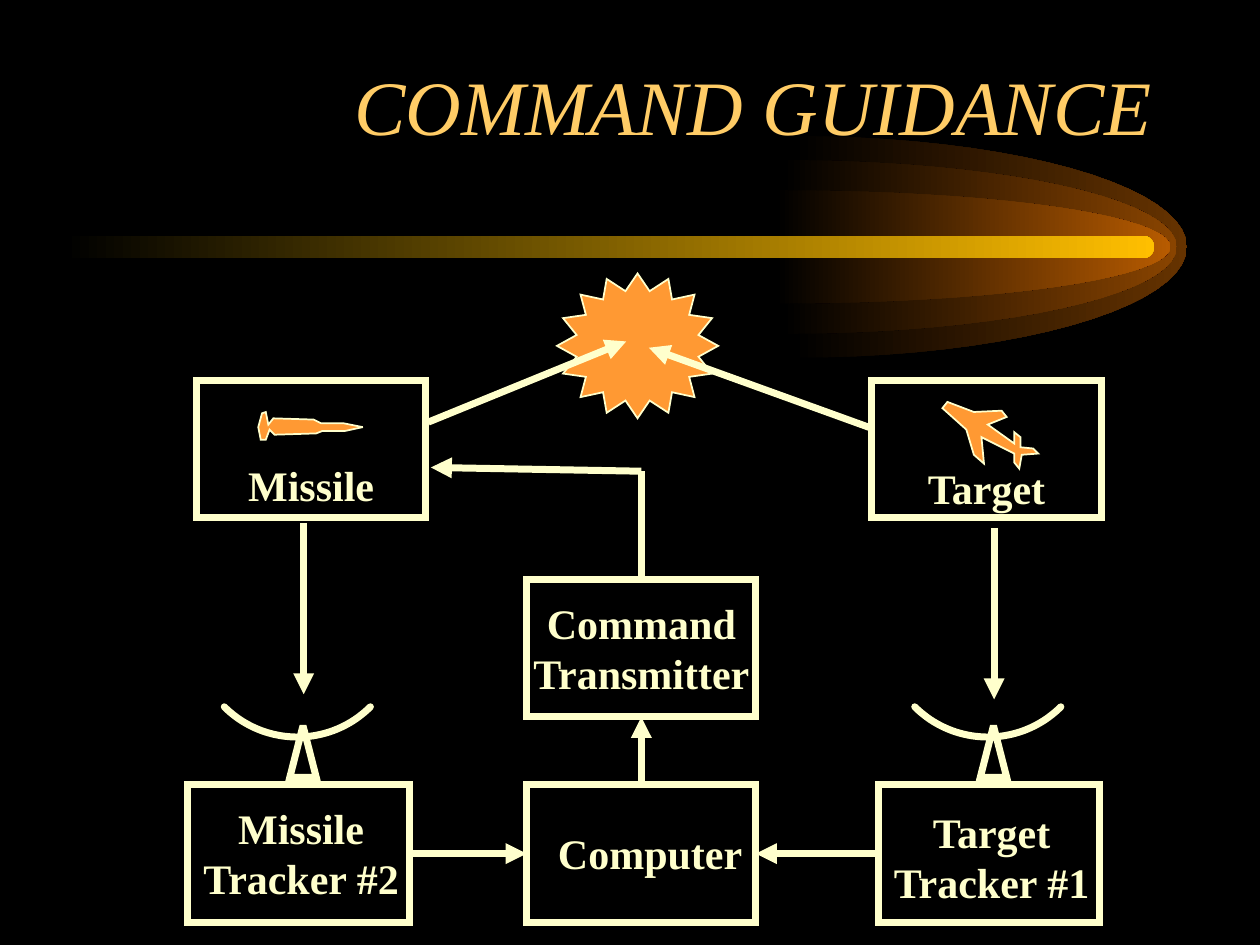
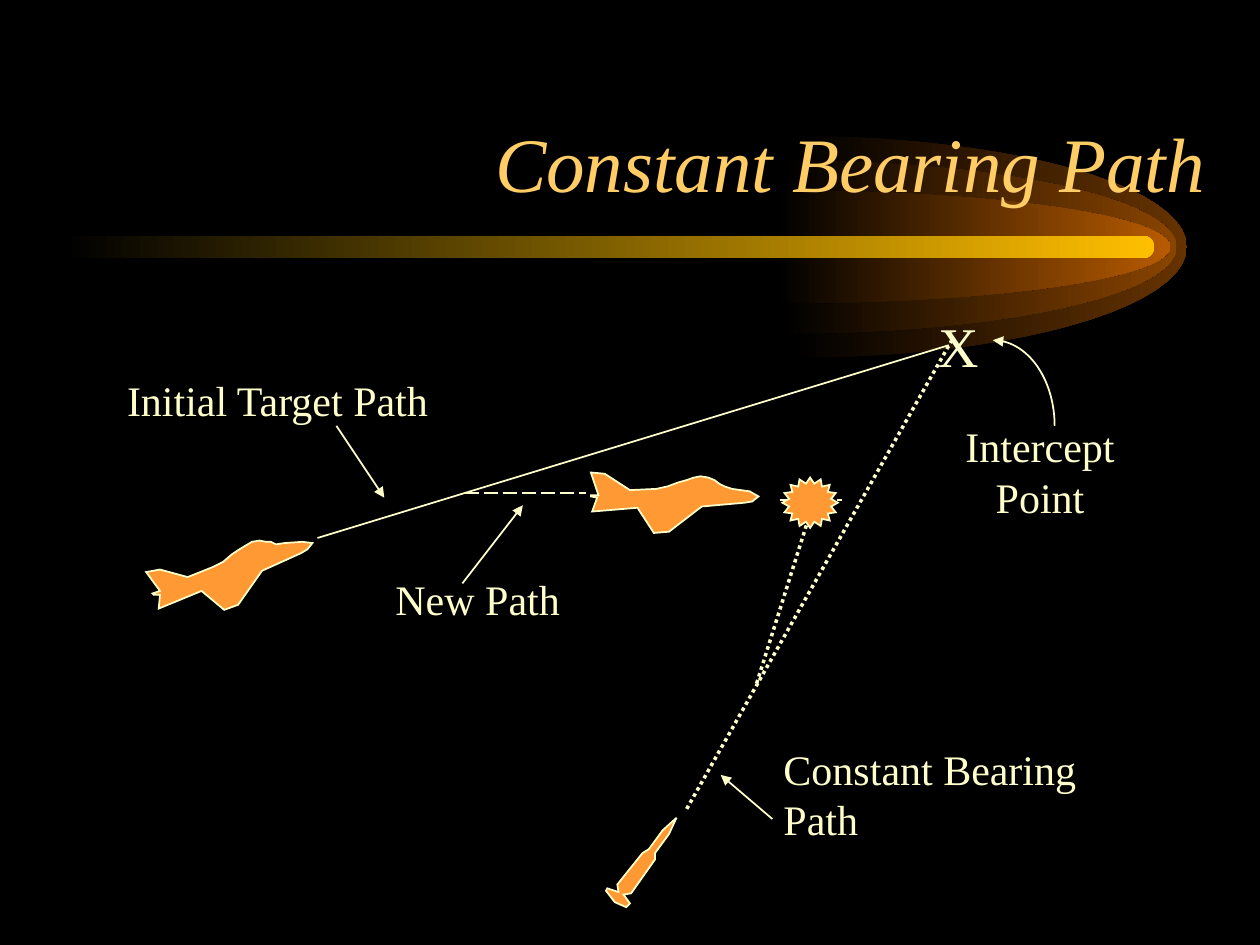
import math
from dataclasses import dataclass

from lxml import etree
from pptx import Presentation
from pptx import util as u
from pptx.dml.color import RGBColor
from pptx.enum import dml, shapes, text
from pptx.oxml import ns


@dataclass(frozen=True)
class Theme:
    font: str = "Times New Roman"
    ground: str = "000000"
    cream: str = "FFFFCC"
    orange: str = "FF9933"
    title: str = "FFCC66"
    bar: str = "FFBF00"
    title_size: int = 44
    mark_size: int = 32
    label_size: int = 24
    bold_line: int = 4
    dotted_line: int = 2
    thin_line: int = 1


THEME = Theme()
ANCHOR = text.MSO_ANCHOR
ALIGN = text.PP_ALIGN
FIT = text.MSO_AUTO_SIZE
SHAPE = shapes.MSO_SHAPE
DASH = dml.MSO_LINE
TOP, LEFT, BOTTOM, RIGHT = range(4)

# Layers of the comet: right-hand centre x, vertical radius, colour
COMET_CENTRE_Y = 1.96
COMET_LAYERS = [(6.29, 0.88, "663300"), (6.21, 0.69, "894400"), (6.16, 0.45, "B75B00")]

JET_FROM_ABOVE = [
    (7.48, 3.24), (7.52, 3.19), (7.73, 3.27), (7.95, 3.26), (7.99, 3.31), (7.84, 3.37),
    (8.05, 3.52), (8.05, 3.43), (8.1, 3.47), (8.1, 3.55), (8.2, 3.56), (8.24, 3.6),
    (8.11, 3.61), (8.09, 3.72), (8.05, 3.67), (8.05, 3.6), (7.79, 3.47), (7.81, 3.68),
    (7.73, 3.61), (7.67, 3.41)]
LEVEL_MISSILE = [
    (2.05, 3.39), (2.08, 3.28), (2.11, 3.27), (2.13, 3.37), (2.17, 3.32), (2.49, 3.33),
    (2.55, 3.36), (2.73, 3.36), (2.88, 3.39), (2.74, 3.42), (2.56, 3.42), (2.51, 3.44),
    (2.18, 3.45), (2.14, 3.41), (2.11, 3.49), (2.07, 3.49)]
CLIMBING_MISSILE = [
    (4.88, 7.16), (4.81, 7.07), (4.82, 7.05), (4.91, 7.08), (4.9, 7.02), (5.1, 6.77),
    (5.15, 6.74), (5.26, 6.59), (5.37, 6.49), (5.31, 6.62), (5.2, 6.77), (5.2, 6.82),
    (5.01, 7.09), (4.95, 7.1), (5, 7.17), (4.97, 7.2)]
LEVEL_JET = [
    (4.7, 4.06), (5.06, 4.03), (5.19, 4.23), (5.31, 4.22), (5.57, 4.02), (5.91, 3.99),
    (5.97, 3.98), (6.02, 3.94), (5.95, 3.9), (5.81, 3.88), (5.75, 3.86), (5.71, 3.84),
    (5.67, 3.81), (5.62, 3.79), (5.56, 3.78), (5.51, 3.79), (5.45, 3.81), (5.38, 3.83),
    (5.3, 3.86), (5.21, 3.88), (5, 3.89), (4.8, 3.76), (4.69, 3.75), (4.75, 3.93),
    (4.69, 3.93), (4.69, 3.94), (4.74, 3.95)]
CLIMBING_JET = [
    (1.26, 4.83), (1.6, 4.69), (1.78, 4.84), (1.89, 4.8), (2.08, 4.53), (2.39, 4.39),
    (2.44, 4.36), (2.48, 4.31), (2.4, 4.3), (2.26, 4.31), (2.19, 4.32), (2.15, 4.3),
    (2.11, 4.3), (2.06, 4.29), (2, 4.3), (1.95, 4.33), (1.9, 4.36), (1.84, 4.4),
    (1.77, 4.46), (1.69, 4.5), (1.49, 4.58), (1.27, 4.52), (1.16, 4.54), (1.27, 4.69),
    (1.21, 4.71), (1.22, 4.72), (1.27, 4.72)]


def grid(*units):
    """Turn grid units (a tenth of the slide width, 2.54 cm) into lengths."""
    return [u.Cm(unit * 2.54) for unit in units]


def color(value):
    return RGBColor.from_string(value)


def add_mark(parent, name, **attributes):
    return etree.SubElement(parent, ns.qn("a:" + name), attributes)


def stroke(shape, weight, dash=None, arrow=False, round_cap=False):
    shape.line.color.rgb = color(THEME.cream)
    shape.line.width = u.Pt(weight)
    if dash:
        shape.line.dash_style = dash
    outline = shape.get_or_add_ln()
    if round_cap:
        outline.set("cap", "rnd")
    add_mark(outline, "miter", lim="800000")
    if arrow:
        add_mark(outline, "tailEnd", type="triangle")


def fade(shape, end_color):
    """Fill from the ground colour at the left to end_color at the right."""
    shape.shadow.inherit = False
    shape.line.fill.background()
    shape.fill.gradient()
    shape.fill.gradient_angle = 0
    for stop, position, value in zip(shape.fill.gradient_stops, (0, 1),
                                     (THEME.ground, end_color)):
        stop.position = position
        stop.color.rgb = color(value)


def outline_shape(page, points, close=True):
    points = [grid(*point) for point in points]
    builder = page.shapes.build_freeform(*points[0])
    builder.add_line_segments(points[1:], close=close)
    shape = builder.convert_to_shape()
    shape.shadow.inherit = False
    return shape


def arc_points(centre, radii, start, stop, steps=40):
    """Points of an elliptical arc; degrees run clockwise from the right."""
    angles = [math.radians(start + (stop - start) * i / steps) for i in range(steps + 1)]
    return [(centre[0] + radii[0] * math.cos(a), centre[1] + radii[1] * math.sin(a))
            for a in angles]


def add_curve(page, points, weight, **style):
    curve = outline_shape(page, points, close=False)
    curve.fill.background()
    stroke(curve, weight, **style)


def add_silhouette(page, points):
    shape = outline_shape(page, points)
    shape.fill.solid()
    shape.fill.fore_color.rgb = color(THEME.orange)
    stroke(shape, THEME.thin_line)


def add_burst(page, *place):
    burst = page.shapes.add_shape(SHAPE.STAR_16_POINT, *grid(*place))
    burst.adjustments[0] = 0.385
    burst.shadow.inherit = False
    burst.fill.solid()
    burst.fill.fore_color.rgb = color(THEME.orange)
    stroke(burst, THEME.thin_line)


def add_frame(page, *place, kind=SHAPE.RECTANGLE):
    frame = page.shapes.add_shape(kind, *grid(*place))
    frame.shadow.inherit = False
    frame.fill.background()
    stroke(frame, THEME.bold_line)
    return frame


def add_tracker(page, left):
    """Draw a tracker station with its dish and return its frame."""
    frame = add_frame(page, left, 6.23, 1.76, 1.09)
    dish = arc_points((left + 0.87, 5.03), (0.82, 0.82), 45, 135)
    add_curve(page, dish, THEME.bold_line, round_cap=True)
    add_frame(page, left + 0.81, 5.76, 0.21, 0.41, kind=SHAPE.ISOSCELES_TRIANGLE)
    return frame


def add_line(page, start, end, weight, **style):
    line = page.shapes.add_connector(shapes.MSO_CONNECTOR.STRAIGHT,
                                     *grid(*start), *grid(*end))
    stroke(line, weight, **style)
    add_mark(line.element.spPr, "effectLst")
    return line


def join(page, source, source_side, target, target_side):
    line = add_line(page, (0, 0), (1, 1), THEME.bold_line, arrow=True)
    line.begin_connect(source, source_side)
    line.end_connect(target, target_side)


def write(frame, content, *, size, ink, align, bold=False, italic=False):
    for number, words in enumerate(content.split("\n")):
        para = frame.add_paragraph() if number else frame.paragraphs[0]
        para.alignment = align
        span = para.add_run()
        span.text = words
        span.font.name = THEME.font
        span.font.size = u.Pt(size)
        span.font.bold = bold
        span.font.italic = italic
        span.font.color.rgb = color(ink)


def add_label(page, content, *place, size=THEME.label_size, align=ALIGN.LEFT, bold=False):
    box = page.shapes.add_textbox(*grid(*place))
    box.text_frame.word_wrap = False
    box.text_frame.auto_size = FIT.SHAPE_TO_FIT_TEXT
    write(box.text_frame, content, size=size, ink=THEME.cream, align=align, bold=bold)


def add_page(deck, layout, title, place, anchor):
    page = deck.slides.add_slide(layout)
    holder = page.shapes.title
    holder.left, holder.top, holder.width, holder.height = grid(*place)
    frame = holder.text_frame
    frame.auto_size = FIT.NONE
    frame.vertical_anchor = anchor
    write(frame, title, size=THEME.title_size, ink=THEME.title, align=ALIGN.RIGHT,
          italic=True)
    return page


def dress_layout(layout, page):
    """Build the comet on the page, then move it to the layout for all slides."""
    comet = []
    for x, radius, tint in COMET_LAYERS:
        layer = outline_shape(page, arc_points((x, COMET_CENTRE_Y), (3.13, radius), -90, 90))
        fade(layer, tint)
        comet.append(layer)
    bar = page.shapes.add_shape(SHAPE.ROUNDED_RECTANGLE, *grid(0.5, 1.87, 8.66, 0.18))
    bar.adjustments[0] = 0.5
    fade(bar, THEME.bar)
    for number, shape in enumerate(comet + [bar], start=101):
        shape.element.nvSpPr.cNvPr.set("id", str(number))
        layout.shapes.element.append(shape.element)


def draw_command_guidance(page):
    missile_tracker = add_tracker(page, 1.49)
    target_tracker = add_tracker(page, 6.97)
    computer, transmitter = [add_frame(page, 4.18, top, 1.82, 1.09) for top in (6.23, 4.6)]
    for left in (6.92, 1.56):
        add_frame(page, left, 3.02, 1.82, 1.09)
    add_silhouette(page, JET_FROM_ABOVE)
    add_silhouette(page, LEVEL_MISSILE)
    add_burst(page, 4.42, 2.17, 1.28, 1.15)

    join(page, missile_tracker, RIGHT, computer, LEFT)
    join(page, target_tracker, LEFT, computer, RIGHT)
    join(page, computer, TOP, transmitter, BOTTOM)
    elbow = (5.09, 3.74)
    riser = add_line(page, (5.09, 4.6), elbow, THEME.bold_line)
    riser.begin_connect(transmitter, TOP)
    for start, end in [((7.89, 4.19), (7.89, 5.55)), ((2.41, 4.15), (2.41, 5.51)),
                       (elbow, (3.42, 3.71)), ((3.4, 3.35), (4.97, 2.71)),
                       ((6.92, 3.4), (5.15, 2.76))]:
        add_line(page, start, end, THEME.bold_line, arrow=True)

    for content, *place in [("Missile", 1.87, 3.6, 1.2, 0.5),
                            ("Target", 7.25, 3.62, 1.16, 0.5),
                            ("Command\nTransmitter", 4.12, 4.69, 1.94, 0.9),
                            ("Computer", 4.33, 6.52, 1.66, 0.5),
                            ("Missile\nTracker #2", 1.5, 6.32, 1.78, 0.9),
                            ("Target\nTracker #1", 6.98, 6.35, 1.78, 0.9)]:
        add_label(page, content, *place, align=ALIGN.CENTER, bold=True)


def draw_constant_bearing(page):
    add_silhouette(page, LEVEL_JET)
    add_silhouette(page, CLIMBING_JET)
    add_line(page, (2.52, 4.27), (7.53, 2.74), THEME.thin_line)
    for start, end, y in [(3.69, 4.65, 3.91), (6.19, 6.68, 3.97)]:
        add_line(page, (start, y), (end, y), THEME.thin_line, dash=DASH.LONG_DASH)
    add_silhouette(page, CLIMBING_MISSILE)
    for start, end in [((5.45, 6.42), (7.56, 2.69)), ((6.45, 4.01), (6, 5.44))]:
        add_line(page, start, end, THEME.dotted_line, dash=DASH.ROUND_DOT)
    add_burst(page, 6.21, 3.79, 0.44, 0.4)

    add_label(page, "X", 7.35, 2.42, 0.52, 0.63, size=THEME.mark_size)
    add_label(page, "Initial Target Path", 0.91, 2.92, 2.65, 0.5)
    add_label(page, "Constant Bearing\nPath", 6.12, 5.85, 2.56, 0.9)
    add_label(page, "New Path", 3.04, 4.5, 1.54, 0.5)
    add_label(page, "Intercept\nPoint", 7.52, 3.29, 1.47, 0.9, align=ALIGN.CENTER)
    for start, end in [((2.67, 3.38), (3.05, 3.95)), ((6.13, 6.5), (5.72, 6.15)),
                       ((3.67, 4.63), (4.15, 4.01))]:
        add_line(page, start, end, THEME.thin_line, arrow=True)
    add_curve(page, arc_points((7.88, 3.38), (0.49, 0.68), 0, -90), THEME.thin_line,
              arrow=True)


def main():
    deck = Presentation()
    deck.slide_width, deck.slide_height = grid(10, 7.5)
    ground = deck.slide_master.background.fill
    ground.solid()
    ground.fore_color.rgb = color(THEME.ground)
    layout = deck.slide_layouts.get_by_name("Title Only")

    command = add_page(deck, layout, "COMMAND GUIDANCE", (0.75, 0, 8.5, 1.25),
                       ANCHOR.BOTTOM)
    dress_layout(layout, command)
    draw_command_guidance(command)
    bearing = add_page(deck, layout, "Constant Bearing Path", (1.17, 0.65, 8.5, 1.27),
                       ANCHOR.MIDDLE)
    draw_constant_bearing(bearing)
    deck.save("out.pptx")


if __name__ == "__main__":
    main()
